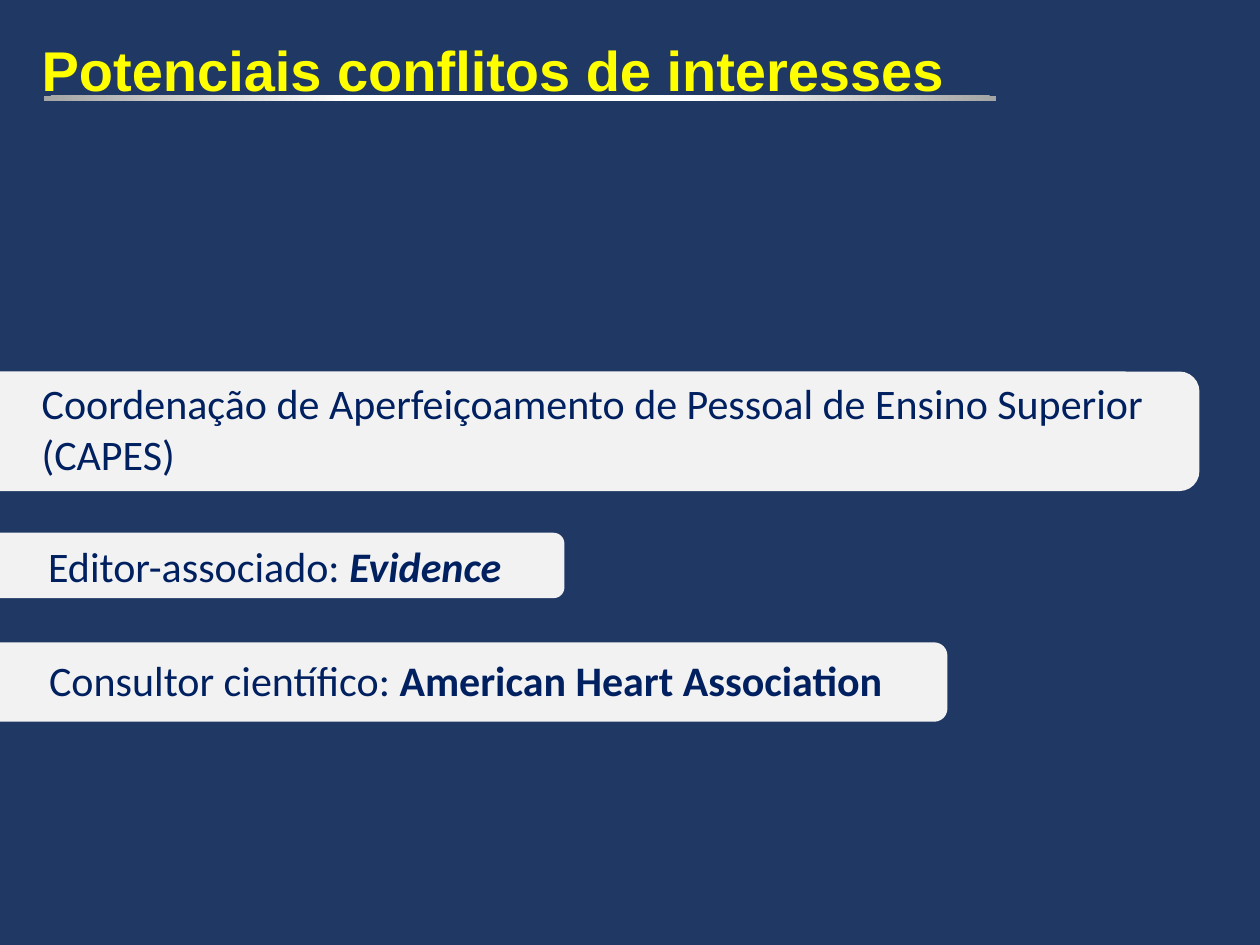
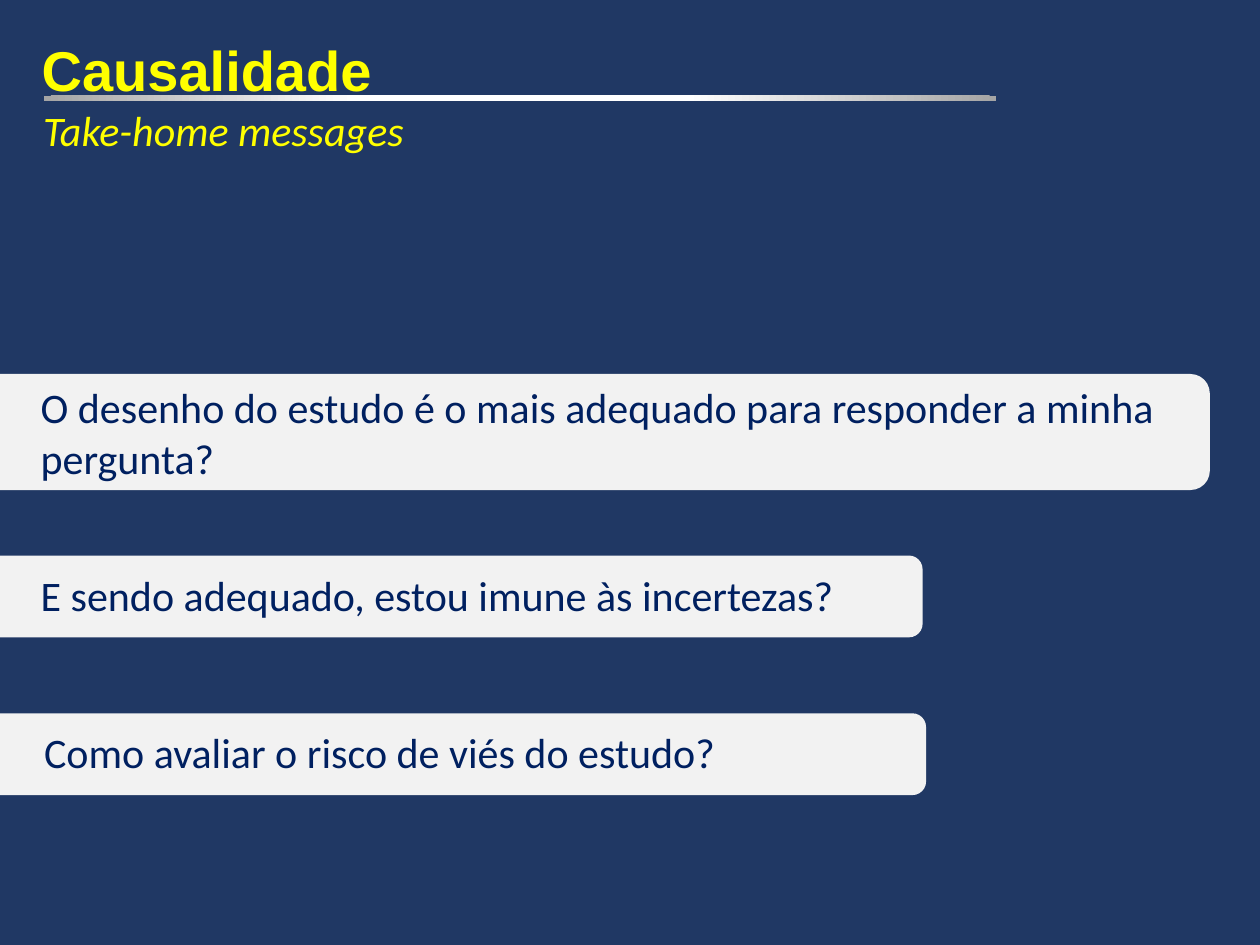
"""Build two bar-list slides that share a navy ground, a yellow title and a shaded rule."""
from dataclasses import dataclass

from pptx import Presentation
from pptx.dml.color import RGBColor
from pptx.enum.shapes import MSO_SHAPE as Shape
from pptx.enum.text import MSO_ANCHOR as Anchor, MSO_AUTO_SIZE as AutoSize, PP_ALIGN as Align
from pptx.oxml import parse_xml
from pptx.oxml.ns import nsdecls, qn
from pptx.presentation import Presentation as Deck
from pptx.slide import Slide
from pptx.util import Cm, Pt

NAVY = RGBColor(0x20, 0x38, 0x64)
YELLOW = RGBColor(0xFF, 0xFF, 0x00)
WHITE = RGBColor(0xFF, 0xFF, 0xFF)
SILVER = RGBColor(0xA5, 0xA5, 0xA5)
PALE = RGBColor(0xF2, 0xF2, 0xF2)
INK = RGBColor(0x00, 0x20, 0x60)
TITLE_FONT, BODY_FONT = "Arial", "Calibri"
SIDE_INSET = Cm(0.18)
RULE_STOPS = ((0, WHITE), (35, WHITE), (100, SILVER))


@dataclass(frozen=True)
class Box:
    """A place on the slide, in centimetres."""
    left: float
    top: float
    width: float
    height: float

    def lengths(self) -> tuple[Cm, Cm, Cm, Cm]:
        """Return the place as python-pptx lengths."""
        return Cm(self.left), Cm(self.top), Cm(self.width), Cm(self.height)


@dataclass(frozen=True)
class Phrase:
    """A stretch of text with its emphasis."""
    text: str
    bold: bool | None = None
    italic: bool | None = None


@dataclass(frozen=True)
class Statement:
    """A pale bar and the lines of text over it."""
    bar: Box
    label: Box
    lines: tuple[tuple[Phrase, ...], ...]


@dataclass(frozen=True)
class Page:
    """The content of one slide."""
    title: str
    statements: tuple[Statement, ...]
    subtitle: str = ""


TITLE_BOX = Box(0.66, 0.46, 24.71, 3.61)
RULE_BOX = Box(0.89, 1.93, 19.2, 0.1)
SUBTITLE_BOX = Box(0.69, 1.98, 7.87, 1.27)

PAGES = (
    Page("Potenciais conflitos de interesses", (
        Statement(Box(-1.14, 7.49, 25.32, 2.41), Box(0.66, 7.49, 22.94, 2.31), (
            (Phrase("Coordenação de Aperfeiçoamento de Pessoal de Ensino Superior"),),
            (Phrase("(CAPES)"),))),
        Statement(Box(-0.91, 10.74, 12.29, 1.32), Box(0.79, 10.77, 22.71, 1.27), (
            (Phrase("Editor-associado: "), Phrase("Evidence", bold=True, italic=True)),)),
        Statement(Box(-1.14, 12.95, 20.24, 1.6), Box(0.81, 13.06, 17.48, 1.27), (
            (Phrase("Consultor científico: "),
             Phrase("American Heart Association", bold=True)),)),
    )),
    Page("Causalidade", (
        Statement(Box(-0.91, 7.54, 25.3, 2.34), Box(0.64, 7.57, 23.37, 2.31), (
            (Phrase("O desenho do estudo é o mais adequado para responder a minha pergunta?"),),)),
        Statement(Box(-0.91, 11.2, 19.51, 1.65), Box(0.64, 11.35, 23.37, 1.27), (
            (Phrase("E sendo adequado, estou imune às incertezas?"),),)),
        Statement(Box(-0.84, 14.38, 19.51, 1.65), Box(0.71, 14.53, 23.37, 1.27), (
            (Phrase("Como avaliar o risco de viés do estudo?"),),)),
    ), "Take-home messages"),
)


def add_title(slide: Slide, wording: str) -> None:
    """Place and format the title placeholder."""
    title = slide.shapes.title
    title.left, title.top, title.width, title.height = TITLE_BOX.lengths()
    frame = title.text_frame
    frame.text = wording
    frame.word_wrap, frame.auto_size = True, AutoSize.NONE
    frame.vertical_anchor = Anchor.TOP
    frame.margin_left = frame.margin_right = SIDE_INSET
    frame.margin_top = Cm(0.25)
    heading = frame.paragraphs[0]
    heading.alignment = Align.LEFT
    font = heading.font
    font.name, font.size, font.bold = TITLE_FONT, Pt(32), True
    font.color.rgb = YELLOW


def add_rule(slide: Slide) -> None:
    """Draw the rule under the title, white in the middle and silver at its ends."""
    rule = slide.shapes.add_shape(Shape.RECTANGLE, *RULE_BOX.lengths())
    rule.shadow.inherit = False
    rule.line.fill.background()
    rule.fill.gradient()
    stops = "".join(f'<a:gs pos="{percent * 1000}"><a:srgbClr val="{color}"/></a:gs>'
                    for percent, color in RULE_STOPS)
    shading = parse_xml(
        f'<a:gradFill {nsdecls("a")} rotWithShape="1"><a:gsLst>{stops}</a:gsLst>'
        '<a:path path="circle"><a:fillToRect l="50000" t="-80000" r="50000" b="180000"/>'
        '</a:path></a:gradFill>')
    properties = rule.element.spPr
    properties.replace(properties.find(qn("a:gradFill")), shading)


def add_label(slide: Slide, place: Box, lines: tuple[tuple[Phrase, ...], ...],
              color: RGBColor) -> None:
    """Write lines of body text, one paragraph each."""
    frame = slide.shapes.add_textbox(*place.lengths()).text_frame
    frame.word_wrap, frame.auto_size = True, AutoSize.SHAPE_TO_FIT_TEXT
    frame.margin_left = frame.margin_right = SIDE_INSET
    for index, phrases in enumerate(lines):
        paragraph = frame.add_paragraph() if index else frame.paragraphs[0]
        paragraph.font.name, paragraph.font.size = BODY_FONT, Pt(24)
        paragraph.font.color.rgb = color
        for phrase in phrases:
            run = paragraph.add_run()
            run.text = phrase.text
            run.font.bold, run.font.italic = phrase.bold, phrase.italic


def add_statement(slide: Slide, statement: Statement) -> None:
    """Draw a pale bar that enters from the left edge, with its text."""
    bar = slide.shapes.add_shape(Shape.ROUNDED_RECTANGLE, *statement.bar.lengths())
    bar.shadow.inherit = False
    bar.fill.solid()
    bar.fill.fore_color.rgb = PALE
    bar.line.fill.background()
    add_label(slide, statement.label, statement.lines, INK)


def add_page(deck: Deck, page: Page) -> None:
    """Add one slide with its title, rule, subtitle and statements."""
    slide = deck.slides.add_slide(deck.slide_layouts.get_by_name("Title Only"))
    add_title(slide, page.title)
    add_rule(slide)
    if page.subtitle:
        add_label(slide, SUBTITLE_BOX, ((Phrase(page.subtitle, italic=True),),), YELLOW)
    for statement in page.statements:
        add_statement(slide, statement)


def main() -> None:
    """Build and save the presentation."""
    deck = Presentation()
    deck.slide_width, deck.slide_height = Cm(25.4), Cm(19.05)
    ground = deck.slide_master.background.fill
    ground.solid()
    ground.fore_color.rgb = NAVY
    for page in PAGES:
        add_page(deck, page)
    deck.save("out.pptx")


if __name__ == "__main__":
    main()
